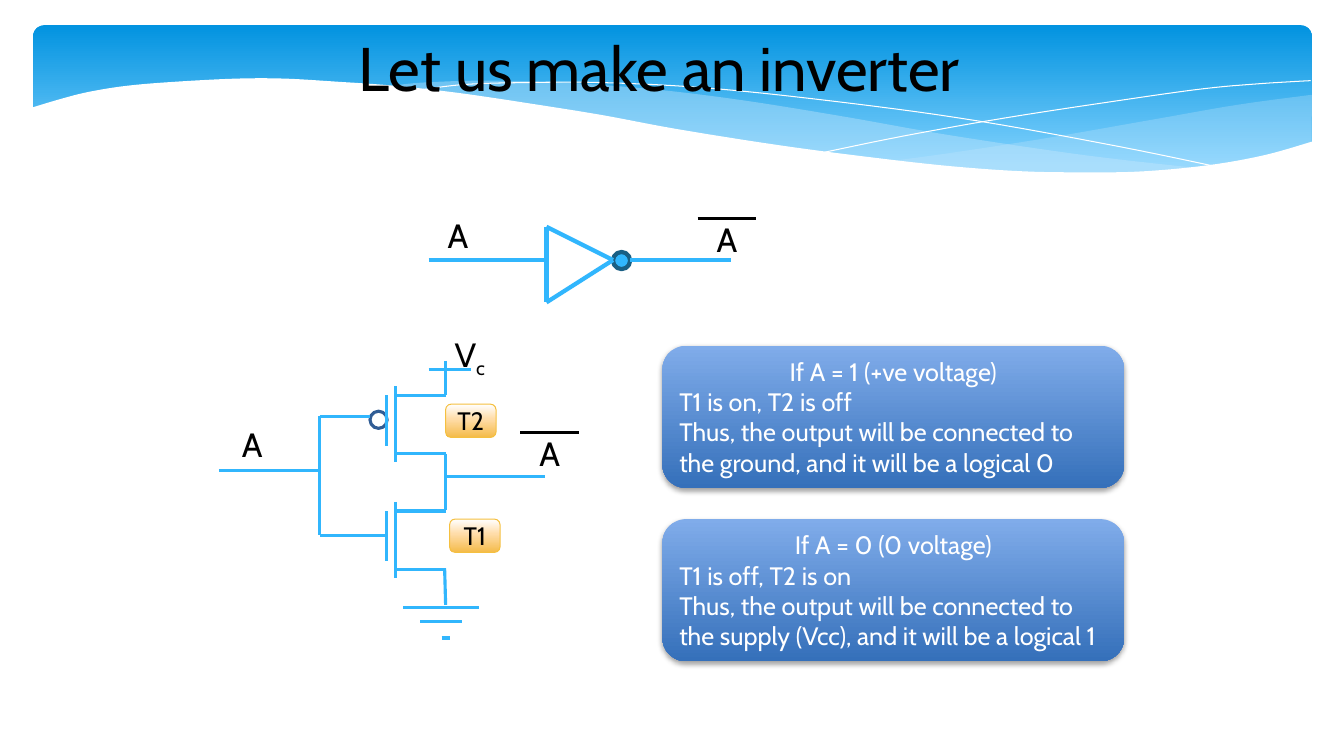
from lxml import etree
from pptx import Presentation
from pptx.dml.color import RGBColor
from pptx.enum.shapes import MSO_CONNECTOR, MSO_SHAPE
from pptx.enum.text import MSO_ANCHOR, MSO_AUTO_SIZE, PP_ALIGN
from pptx.oxml.ns import qn
from pptx.util import Inches, Pt

STRAIGHT = MSO_CONNECTOR.STRAIGHT
ROUNDED, OVAL = MSO_SHAPE.ROUNDED_RECTANGLE, MSO_SHAPE.OVAL
LEFT, CENTER = PP_ALIGN.LEFT, PP_ALIGN.CENTER

FONT = "Cabin"
BLACK, WHITE = RGBColor(0, 0, 0), RGBColor(255, 255, 255)
WIRE = RGBColor(0x31, 0xB6, 0xFD)
WAVE = RGBColor(0xC6, 0xE7, 0xFC)
GATE_EDGE = RGBColor(0x19, 0x5F, 0x84)
BUBBLE_EDGE = RGBColor(0x31, 0x5D, 0x95)
TAG_EDGE = RGBColor(0xF5, 0xC0, 0x40)
# Gradient stops: percent, colour
BANNER_STOPS = [(0, "0293E0"), (90, "83D3FE")]
CALLOUT_STOPS = [(0, "80ACEA"), (100, "3570BA")]
TAG_STOPS = [(0, "FFFFFF"), (44, "FFDDAA"), (100, "F4BB4A")]

# Banner curves, each run smoothed through its points
WAVES = [  # upper edge, lower edge, opacity percent
    ([(13.01, 0.94), (12.27, 1.04), (11.47, 1.18), (10.38, 1.37), (9.41, 1.52), (8.82, 1.6)],
     [(8.82, 1.6), (9.58, 1.67), (10.25, 1.71), (10.99, 1.72), (11.74, 1.67), (12.38, 1.58),
      (13.01, 1.42)], 29),
    ([(11.9, 1.67), (10.76, 1.54), (9.41, 1.34), (8.39, 1.16), (7.4, 1), (6.52, 0.89),
      (5.6, 0.82), (4.82, 0.8), (4.18, 0.82), (3.82, 0.86)],
     [(3.82, 0.86), (4.83, 0.97), (5.99, 1.16), (7.06, 1.35), (8.02, 1.5), (9.07, 1.63),
      (9.98, 1.7), (10.76, 1.73), (11.31, 1.72), (11.9, 1.67)], 40),
]
THREADS = [
    [(4.12, 0.9), (4.58, 0.84), (5.16, 0.82), (6, 0.82), (7.1, 0.88), (8.48, 1.03),
     (9.7, 1.2), (11.08, 1.45), (12.1, 1.66)],
    [(8.18, 1.51), (8.96, 1.35), (9.97, 1.17), (11.15, 0.99), (11.94, 0.88), (12.5, 0.83),
     (13, 0.8)],
]
BANNER_EDGE = [(13.03, 1.4), (12.54, 1.54), (11.98, 1.64), (11.34, 1.7), (10.78, 1.71),
               (10.15, 1.7), (9.44, 1.65), (8.63, 1.56), (7.72, 1.44), (6.71, 1.28),
               (5.96, 1.14), (5.21, 1.02), (4.53, 0.92), (3.9, 0.85), (3.33, 0.81),
               (2.82, 0.78), (2.35, 0.78), (1.76, 0.81), (1.27, 0.85), (0.89, 0.91),
               (0.61, 0.98), (0.31, 1.07)]

# Text, left, top, width
LABELS = [("A", "", 4.34, 2.08, 0.41), ("A", "", 7.01, 2.12, 0.41),
          ("V", "cc", 4.41, 3.26, 0.58),
          ("A", "", 2.3, 4.16, 0.41), ("A", "", 5.25, 4.25, 0.41)]
TAGS = [("T1", 4.46, 5.15), ("T2", 4.42, 4.01)]
CALLOUTS = [
    (3.43, ["If A = 1 (+ve voltage)", "T1 is on, T2 is off",
            "Thus, the output will be connected to the ground, and it will be a logical 0"]),
    (5.15, ["If A = 0 (0 voltage)", "T1 is off, T2 is on",
            "Thus, the output will be connected to the supply (Vcc), and it will be a logical 1"]),
]

# Wires: x1, y1, x2, y2
INVERTER = [(4.25, 2.58, 5.42, 2.58), (5.42, 2.25, 5.42, 3), (5.42, 2.25, 6.08, 2.58),
            (6.08, 2.58, 5.42, 3), (6.25, 2.58, 7.25, 2.58)]
INPUT = [(2.17, 4.67, 3.17, 4.67), (3.17, 4.13, 3.17, 5.31),
         (3.17, 4.13, 3.67, 4.13), (3.17, 5.31, 3.83, 5.31)]
OUTPUT = [(4.42, 4.5, 4.42, 5.06), (4.41, 4.73, 5.41, 4.73)]
SUPPLY = [(4.42, 3.58, 4.42, 3.92), (4.25, 3.67, 4.67, 3.67)]
GROUND = [(4.41, 5.64, 4.42, 6), (4, 6.03, 4.75, 6.03),
          (4.17, 6.17, 4.58, 6.17), (4.38, 6.33, 4.46, 6.33)]
TRANSISTOR = [(3.83, 0.09, 3.83, 0.59), (3.92, 0, 3.92, 0.75),
              (3.92, 0.09, 4.42, 0.09), (3.92, 0.67, 4.42, 0.67)]
TRANSISTOR_TOPS = [3.83, 4.98]
OVERBARS = [(6.92, 2.17, 7.5, 2.17), (5.16, 4.29, 5.74, 4.29)]

deck = Presentation()
deck.slide_width, deck.slide_height = Inches(13.33), Inches(7.5)
page = deck.slides.add_slide(deck.slide_layouts[6])


def smooth(points, steps=6):
    """Catmull-Rom curve through the points."""
    padded = [points[0], *points, points[-1]]
    curve = [points[0]]
    for a, b, c, d in zip(padded, padded[1:], padded[2:], padded[3:]):
        for step in range(1, steps + 1):
            t = step / steps
            curve.append(tuple(
                0.5 * (2 * q + (r - p) * t + (2 * p - 5 * q + 4 * r - s) * t ** 2
                       + (3 * q - p - 3 * r + s) * t ** 3)
                for p, q, r, s in zip(a, b, c, d)))
    return curve


def finish(shape, fill=None, edge=None, width=0):
    shape.shadow.inherit = False
    if isinstance(fill, list):
        shape.fill.gradient()
        shape.fill.gradient_angle = 270
        stops = shape._element.spPr.find(qn("a:gradFill")).find(qn("a:gsLst"))
        for stop in list(stops):
            stops.remove(stop)
        for percent, colour in fill:
            stop = etree.SubElement(stops, qn("a:gs"), pos=str(percent * 1000))
            etree.SubElement(stop, qn("a:srgbClr"), val=colour)
    elif fill is None:
        shape.fill.background()
    else:
        shape.fill.solid()
        shape.fill.fore_color.rgb = fill
    if edge is None:
        shape.line.fill.background()
    else:
        shape.line.color.rgb = edge
        shape.line.width = Pt(width)
    return shape


def add_preset(kind, left, top, width, height, *style):
    shape = page.shapes.add_shape(kind, *map(Inches, (left, top, width, height)))
    return finish(shape, *style)


def add_outline(points, closed, *style):
    spots = [(Inches(x), Inches(y)) for x, y in points]
    builder = page.shapes.build_freeform(*spots[0], scale=1.0)
    builder.add_line_segments(spots[1:], close=closed)
    return finish(builder.convert_to_shape(), *style)


def add_wires(wires, colour=WIRE, width=2.25, drop=0):
    for x1, y1, x2, y2 in wires:
        wire = page.shapes.add_connector(
            STRAIGHT, *map(Inches, (x1, y1 + drop, x2, y2 + drop)))
        wire.line.color.rgb = colour
        wire.line.width = Pt(width)
        etree.SubElement(wire._element.spPr, qn("a:effectLst"))


def write(para, text, size, colour=BLACK, align=LEFT):
    para.alignment = align
    span = para.add_run()
    span.text = text
    for name, value in {"name": FONT, "size": Pt(size)}.items():
        setattr(span.font, name, value)
    span.font.color.rgb = colour
    return span


def add_text(left, top, width, height, wrap):
    box = page.shapes.add_textbox(*map(Inches, (left, top, width, height)))
    box.text_frame.word_wrap = wrap
    box.text_frame.auto_size = MSO_AUTO_SIZE.SHAPE_TO_FIT_TEXT
    return box.text_frame.paragraphs[0]


# Banner
banner = add_preset(ROUNDED, 0.33, 0.25, 12.68, 1.56, BANNER_STOPS)
banner.adjustments[0] = 0.07
for upper, lower, opacity in WAVES:
    wave = add_outline(smooth(upper) + smooth(lower), True, WAVE)
    colour = wave._element.spPr.find(qn("a:solidFill"))[0]
    etree.SubElement(colour, qn("a:alpha"), val=str(opacity * 1000))
for thread in THREADS:
    add_outline(smooth(thread), False, None, WHITE)
add_outline(smooth(BANNER_EDGE) + [(0.31, 2.24), (13.03, 2.24)], True, WHITE)
write(add_text(1.83, 0.25, 9.42, 0.84, True), "Let us make an inverter", 44, align=CENTER)

# Inverter symbol and transistor circuit
add_preset(OVAL, 6.08, 2.5, 0.17, 0.17, WIRE, GATE_EDGE, 3)
add_preset(OVAL, 3.67, 4.08, 0.17, 0.17, WHITE, BUBBLE_EDGE, 2.25)
add_wires(INVERTER, width=3)
add_wires(INPUT + OUTPUT + SUPPLY + GROUND)
for top in TRANSISTOR_TOPS:
    add_wires(TRANSISTOR, drop=top)
add_wires(OVERBARS, BLACK)

# Labels
for text, subscript, left, top, width in LABELS:
    para = add_text(left, top, width, 0.5, False)
    write(para, text, 24)
    if subscript:
        write(para, subscript, 24).font._element.set("baseline", "-25000")
for text, left, top in TAGS:
    tag = add_preset(ROUNDED, left, top, 0.5, 0.33, TAG_STOPS, TAG_EDGE, 0.75)
    tag.text_frame.vertical_anchor = MSO_ANCHOR.MIDDLE
    write(tag.text_frame.paragraphs[0], text, 18, align=CENTER)

# Callouts
for top, lines in CALLOUTS:
    callout = add_preset(ROUNDED, 6.57, top, 4.58, 1.41, CALLOUT_STOPS)
    effects = callout._element.spPr.find(qn("a:effectLst"))
    shadow = etree.SubElement(effects, qn("a:outerShdw"), blurRad=str(Pt(4)),
                              dist=str(Pt(2)), dir="5400000", rotWithShape="0")
    colour = etree.SubElement(shadow, qn("a:srgbClr"), val="000000")
    etree.SubElement(colour, qn("a:alpha"), val="38000")
    frame = callout.text_frame
    frame.word_wrap = True
    frame.vertical_anchor = MSO_ANCHOR.MIDDLE
    for index, line in enumerate(lines):
        para = frame.add_paragraph() if index else frame.paragraphs[0]
        write(para, line, 18, WHITE, LEFT if index else CENTER)

deck.save("out.pptx")
